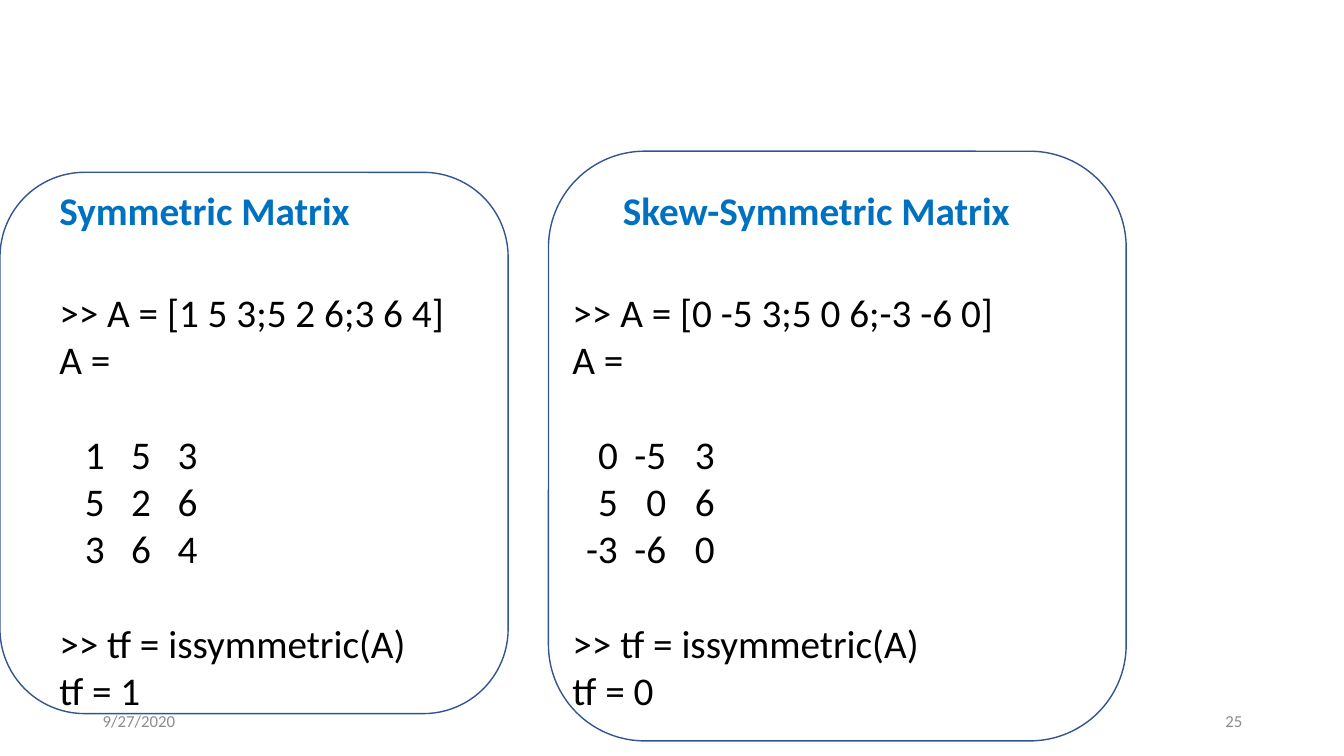
"""Build a slide comparing symmetric and skew-symmetric matrix checks."""
from lxml.etree import SubElement
from pptx import Presentation
from pptx.dml.color import RGBColor
from pptx.enum.shapes import MSO_SHAPE
from pptx.enum.text import MSO_ANCHOR, PP_ALIGN
from pptx.oxml.ns import qn
from pptx.util import Inches, Pt

BLACK = RGBColor(0x00, 0x00, 0x00)
HEADING_BLUE = RGBColor(0x00, 0x70, 0xC0)
FRAME_BLUE = RGBColor(0x32, 0x54, 0x91)
FOOTER_GRAY = RGBColor(0x8C, 0x8C, 0x8C)
FONT_NAME = "Calibri"
BODY_SIZE = 28
FOOTER_SIZE = 12
BLANK_LINE = Pt(34.2)
HEADING_TOP = 1.8
CODE_TOP = 2.81
FIRST_COLUMN = 0.45


def style_paragraph(paragraph, size, color, bold=False):
    """Set the font of a whole paragraph."""
    font = paragraph.font
    font.name = FONT_NAME
    font.size = Pt(size)
    font.bold = bold
    font.color.rgb = color


def add_text_box(slide, left, top, width, height, wrap=True):
    """Add an empty text box and return its text frame."""
    box = slide.shapes.add_textbox(*map(Inches, (left, top, width, height)))
    box.text_frame.word_wrap = wrap
    return box.text_frame


def add_heading(slide, left, width, text, wrap):
    """Add the bold heading of a panel."""
    paragraph = add_text_box(slide, left, HEADING_TOP, width, 0.57, wrap).paragraphs[0]
    paragraph.text = text
    style_paragraph(paragraph, BODY_SIZE, HEADING_BLUE, bold=True)


def add_footer(slide, left, text, alignment):
    """Add a small grey footer field."""
    frame = add_text_box(slide, left, 6.95, 3, 0.4)
    frame.vertical_anchor = MSO_ANCHOR.MIDDLE
    paragraph = frame.paragraphs[0]
    paragraph.text = text
    paragraph.alignment = alignment
    style_paragraph(paragraph, FOOTER_SIZE, FOOTER_GRAY)


def add_column_stops(paragraph, count, step):
    """Give a matrix row evenly spaced right-aligned tab stops."""
    stops = SubElement(paragraph._p.get_or_add_pPr(), qn("a:tabLst"))
    for column in range(count):
        position = Inches(FIRST_COLUMN + column * step)
        SubElement(stops, qn("a:tab"), pos=str(int(position)), algn="r")


def add_code(slide, left, command, matrix, step, result):
    """Add a console session with its matrix output."""
    frame = add_text_box(slide, left, CODE_TOP, 6.67, 4.34)
    rows = ["".join(f"\t{value}" for value in row) for row in matrix]
    check = ">> tf = issymmetric(A)"
    lines = [command, "A =", *rows, check, f"tf = {result}"]
    for index, line in enumerate(lines):
        paragraph = frame.add_paragraph() if index else frame.paragraphs[0]
        paragraph.text = line
        if line in rows:
            add_column_stops(paragraph, len(matrix[0]), step)
        if line in (rows[0], check):
            paragraph.space_before = BLANK_LINE
        style_paragraph(paragraph, BODY_SIZE, BLACK)


def add_frame(slide, left, top, width, height):
    """Add the rounded outline of a panel."""
    shape = slide.shapes.add_shape(
        MSO_SHAPE.ROUNDED_RECTANGLE, *map(Inches, (left, top, width, height)))
    shape.shadow.inherit = False
    shape.fill.background()
    shape.line.color.rgb = FRAME_BLUE
    shape.line.width = Pt(1)


def main():
    """Create the slide and save it."""
    presentation = Presentation()
    presentation.slide_width = Inches(13.33)
    presentation.slide_height = Inches(7.5)
    slide = presentation.slides.add_slide(presentation.slide_layouts[6])
    add_footer(slide, 0.92, "9/27/2020", PP_ALIGN.LEFT)
    add_footer(slide, 9.42, "25", PP_ALIGN.RIGHT)
    add_code(slide, 0.49, ">> A = [1 5 3;5 2 6;3 6 4]",
             [(1, 5, 3), (5, 2, 6), (3, 6, 4)], 0.46, 1)
    add_code(slide, 5.58, ">> A = [0 -5 3;5 0 6;-3 -6 0]",
             [(0, -5, 3), (5, 0, 6), (-3, -6, 0)], 0.48, 0)
    add_heading(slide, 0.49, 4, "Symmetric Matrix", True)
    add_heading(slide, 6.08, 4.09, "Skew-Symmetric Matrix", False)
    add_frame(slide, 0, 1.71, 5.04, 5.37)
    add_frame(slide, 5.44, 1.5, 5.73, 5.85)
    presentation.save("out.pptx")


if __name__ == "__main__":
    main()
